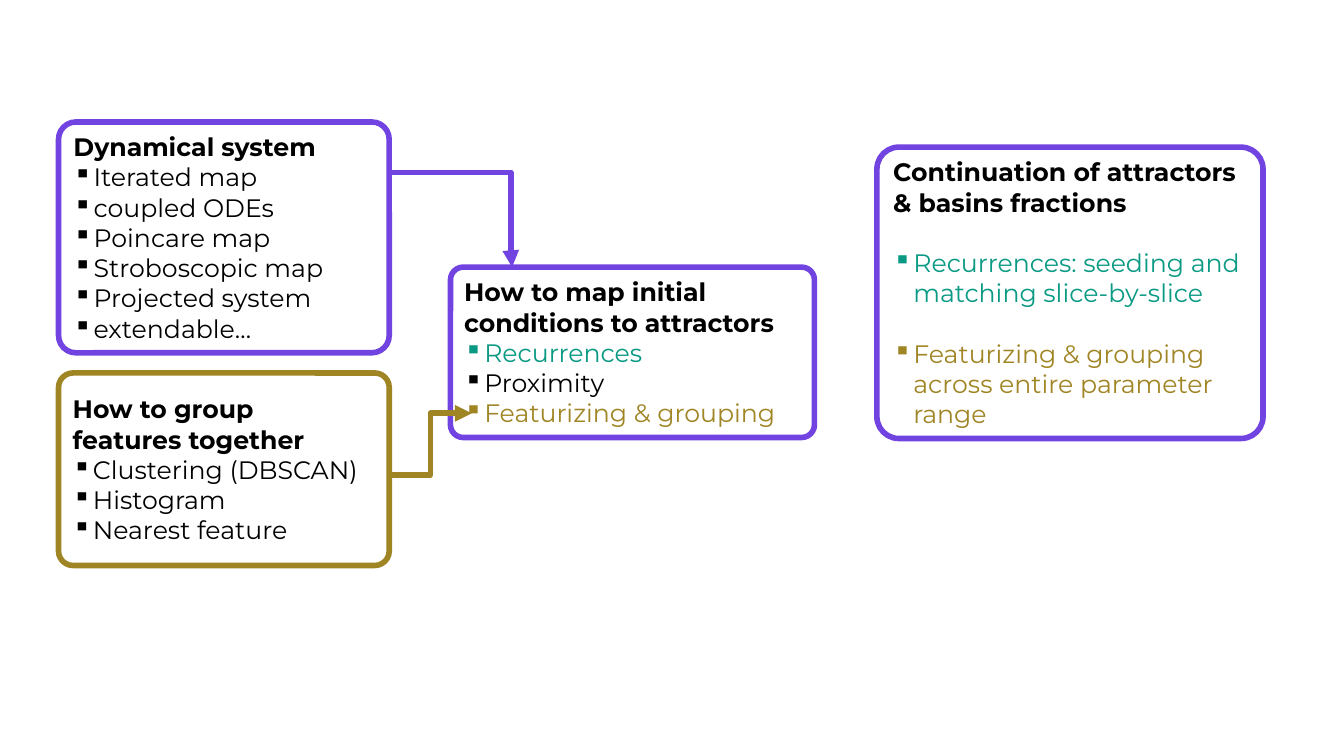
import pptx
import pptx.dml.color
import pptx.enum.shapes
import pptx.enum.text
import pptx.oxml.ns
import pptx.util
from lxml import etree

Pt = pptx.util.Pt
RGBColor = pptx.dml.color.RGBColor
qn = pptx.oxml.ns.qn

PURPLE = RGBColor(0x71, 0x43, 0xE0)
OCHRE = RGBColor(0xA0, 0x85, 0x24)
GREEN = RGBColor(0x0A, 0x9A, 0x84)
BLACK = RGBColor(0, 0, 0)

FONT = "Montserrat"
TEXT_SIZE = 18
EDGE_WIDTH = 4
BULLET_INDENT = 14.4
CORNER = 0.075

LEFT, LEFT_WIDTH = 41.8, 236.2
SYSTEM_BOX = (LEFT, 87.1, LEFT_WIDTH, 164.9)
GROUPING_BOX = (LEFT, 266.4, LEFT_WIDTH, 137.5)
MAPPING_BOX = (321.8, 190.8, 260, 121.7)
CONTINUATION_BOX = (626.4, 105.1, 275.8, 208.1)


def write_text(para, text, color=BLACK, bold=False, bullet=None, gap=0):
    """Fill one paragraph with formatted text and an optional bullet."""
    para.text = text
    para.alignment = pptx.enum.text.PP_ALIGN.LEFT
    para.space_before = Pt(gap)
    for span in para.runs:
        span.font.name = FONT
        span.font.size = Pt(TEXT_SIZE)
        span.font.bold = bold
        span.font.color.rgb = color
    if bullet:
        properties = para._p.get_or_add_pPr()
        properties.set("marL", str(Pt(BULLET_INDENT)))
        properties.set("indent", str(-Pt(BULLET_INDENT)))
        etree.SubElement(properties, qn("a:buChar"), char=bullet)


def add_card(page, box, title, items, edge=PURPLE, gap=0):
    """Draw a rounded card with a bold title and (text, color) bullets."""
    card = page.shapes.add_shape(
        pptx.enum.shapes.MSO_SHAPE.ROUNDED_RECTANGLE, *map(Pt, box))
    card.adjustments[0] = CORNER
    card.shadow.inherit = False
    card.fill.background()
    card.line.color.rgb = edge
    card.line.width = Pt(EDGE_WIDTH)
    frame = card.text_frame
    frame.word_wrap = True
    frame.vertical_anchor = pptx.enum.text.MSO_ANCHOR.MIDDLE
    write_text(frame.paragraphs[0], title, bold=True)
    for text, color in items:
        write_text(frame.add_paragraph(), text, color=color, bullet="▪", gap=gap)


def add_arrow(page, start, end, color, bend):
    """Draw an elbow arrow that turns at the given fraction of its width."""
    arrow = page.shapes.add_connector(
        pptx.enum.shapes.MSO_CONNECTOR.ELBOW, *map(Pt, start + end))
    arrow.line.color.rgb = color
    arrow.line.width = Pt(EDGE_WIDTH)
    etree.SubElement(arrow.line._get_or_add_ln(), qn("a:tailEnd"), type="triangle")
    properties = arrow._element.spPr
    etree.SubElement(properties, qn("a:effectLst"))
    guides = properties.find(qn("a:prstGeom")).get_or_add_avLst()
    etree.SubElement(guides, qn("a:gd"), name="adj1", fmla=f"val {round(bend * 100000)}")


def plain(*texts):
    """Pair each text with black."""
    return [(text, BLACK) for text in texts]


def build_overview(page):
    """Place the four cards and the arrows that lead to the mapping card."""
    add_card(page, SYSTEM_BOX, "Dynamical system",
             plain("Iterated map", "coupled ODEs", "Poincare map",
                   "Stroboscopic map", "Projected system", "extendable…"))
    add_card(page, MAPPING_BOX, "How to map initial conditions to attractors",
             [("Recurrences", GREEN), ("Proximity", BLACK),
              ("Featurizing & grouping", OCHRE)])
    add_card(page, GROUPING_BOX, "How to group \vfeatures together",
             plain("Clustering (DBSCAN)", "Histogram", "Nearest feature"), edge=OCHRE)
    card_right = LEFT + LEFT_WIDTH
    mapping_left, mapping_top = MAPPING_BOX[:2]
    add_arrow(page, (card_right, SYSTEM_BOX[1] + 36),
              (mapping_left + 44, mapping_top), PURPLE, bend=0.99)
    add_arrow(page, (card_right, GROUPING_BOX[1] + 72.7),
              (mapping_left + 15.2, mapping_top + 104.4), OCHRE, bend=0.5)
    add_card(page, CONTINUATION_BOX, "Continuation of attractors & basins fractions",
             [("Recurrences: seeding and matching slice-by-slice", GREEN),
              ("Featurizing & grouping across entire parameter range", OCHRE)],
             gap=21.6)


deck = pptx.Presentation()
deck.slide_width, deck.slide_height = Pt(960), Pt(540)
build_overview(deck.slides.add_slide(deck.slide_layouts[6]))
deck.save("out.pptx")
